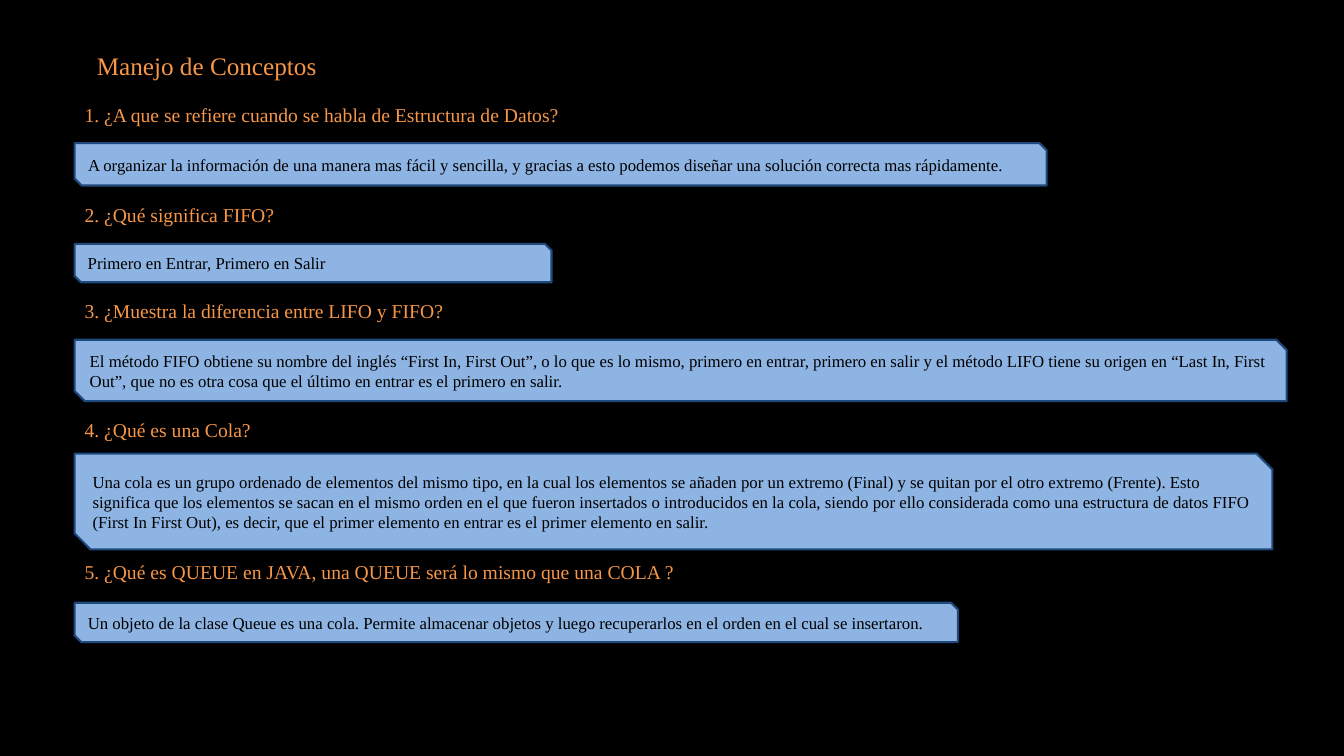
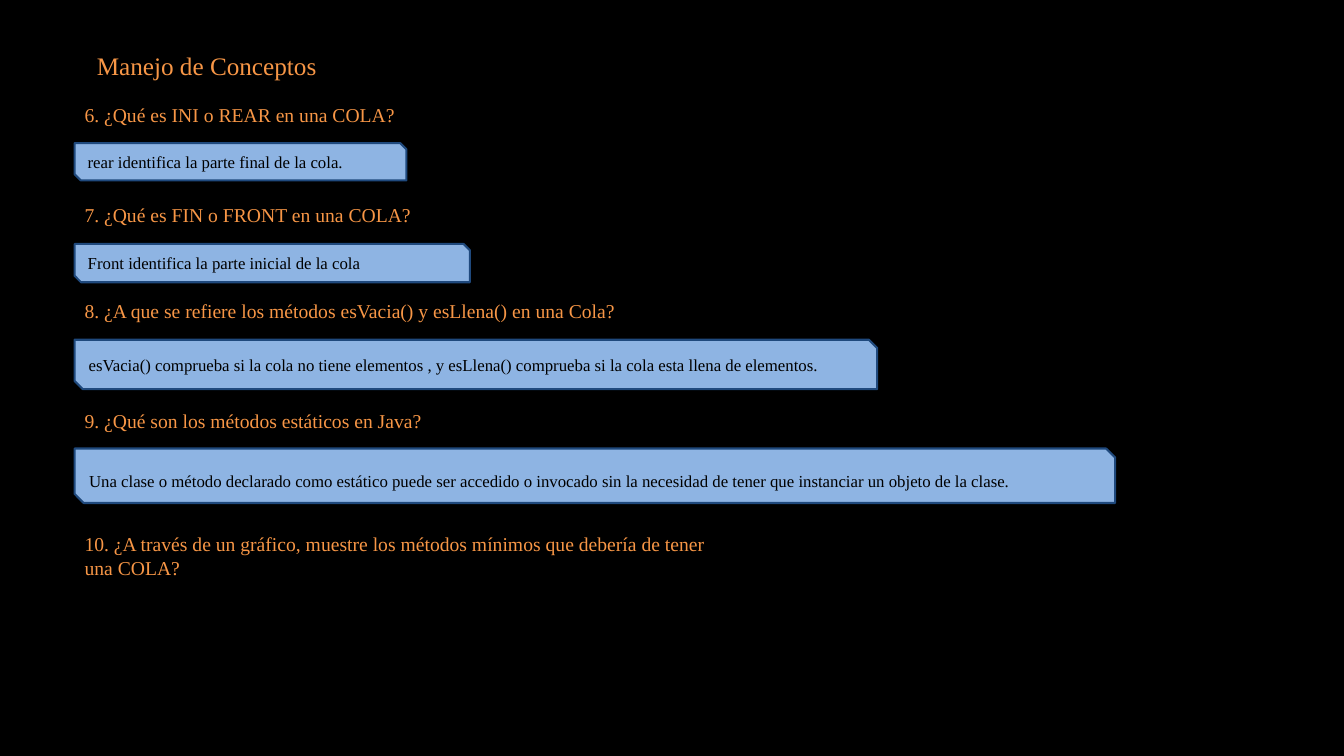
from pptx import Presentation, util as u
from pptx.dml import color as col
from pptx.enum import shapes, text

BLACK, ORANGE, BLUE, NAVY = "000000", "F79646", "8EB4E3", "1F497D"
LEFT = 0.74
HEAD = "Manejo de Conceptos"

# Each row: question, top, width, then answer, top, width, height, text drop.
PAGES = [
    [
        (("1. ¿A que se refiere cuando se habla de Estructura de Datos?", 0.97, 5.93),
         ("A organizar la información de una manera mas fácil y sencilla, y gracias a "
          "esto podemos diseñar una solución correcta mas rápidamente.",
          1.42, 9.64, 0.42)),
        (("2. ¿Qué significa FIFO?", 1.96, 5.93),
         ("Primero en Entrar, Primero en Salir", 2.42, 4.73, 0.38)),
        (("3. ¿Muestra la diferencia entre LIFO y FIFO?", 2.92, 7.64),
         ("El método FIFO obtiene su nombre del inglés “First In, First Out”, o lo que "
          "es lo mismo, primero en entrar, primero en salir y el método LIFO tiene su "
          "origen en “Last In, First Out”, que no es otra cosa que el último en entrar "
          "es el primero en salir.", 3.37, 12.02, 0.61)),
        (("4. ¿Qué es una Cola?", 4.1, 2.39),
         ("Una cola es un grupo ordenado de elementos del mismo tipo, en la cual los "
          "elementos se añaden por un extremo (Final) y se quitan por el otro extremo "
          "(Frente). Esto significa que los elementos se sacan en el mismo orden en el "
          "que fueron insertados o introducidos en la cola, siendo por ello considerada "
          "como una estructura de datos FIFO (First In First Out), es decir, que el "
          "primer elemento en entrar es el primer elemento en salir.",
          4.5, 11.88, 0.95)),
        (("5. ¿Qué es QUEUE en JAVA, una QUEUE será lo mismo que una COLA ?", 5.51, 7.94),
         ("Un objeto de la clase Queue es una cola. Permite almacenar objetos y luego "
          "recuperarlos en el orden en el cual se insertaron.", 5.98, 8.76, 0.39)),
    ],
    [
        (("6. ¿Qué es INI o REAR en una COLA?", 0.97, 5.93),
         ("rear identifica la parte final de la cola.", 1.42, 3.29, 0.37)),
        (("7. ¿Qué es FIN o FRONT en una COLA?", 1.96, 5.93),
         ("Front identifica la parte inicial de la cola", 2.42, 3.92, 0.38)),
        (("8. ¿A que se refiere los métodos esVacia() y esLlena() en una Cola?", 2.92, 7.64),
         ("esVacia() comprueba si la cola no tiene elementos , y esLlena() comprueba si "
          "la cola esta llena de elementos.", 3.37, 7.96, 0.49)),
        (("9. ¿Qué son los métodos estáticos en Java?", 4.01, 3.65),
         ("Una clase o método declarado como estático puede ser accedido o invocado sin "
          "la necesidad de tener que instanciar un objeto de la clase.",
          4.45, 10.32, 0.54, 0.1)),
        (("10. ¿A través de un gráfico, muestre los métodos mínimos que debería de tener\n"
          "una COLA?", 5.23, 9.98), None),
    ],
]


def rgb(code):
    return col.RGBColor.from_string(code)


def write(frame, words, size=12, color=BLACK, anchor=text.MSO_ANCHOR.TOP,
          fit=text.MSO_AUTO_SIZE.NONE, font="Times New Roman"):
    frame.text = words
    frame.word_wrap = True
    frame.auto_size = fit
    frame.vertical_anchor = anchor
    for para in frame.paragraphs:
        para.alignment = text.PP_ALIGN.LEFT
        for run in para.runs:
            run.font.size = u.Pt(size)
            run.font.name = font
            run.font.color.rgb = rgb(color)


class Deck:
    """Hold the shared style and the current slide."""

    def __init__(self):
        self.prs = Presentation()
        self.prs.slide_width = u.Inches(13.33)
        self.prs.slide_height = u.Inches(7.5)
        fill = self.prs.slide_master.background.fill
        fill.solid()
        fill.fore_color.rgb = rgb(BLACK)

    def page(self, head):
        self.slide = self.prs.slides.add_slide(self.prs.slide_layouts[5])
        title = self.slide.shapes.title
        title.left, title.top = u.Inches(0.86), u.Inches(0.45)
        title.width, title.height = u.Inches(2.85), u.Inches(0.4)
        write(title.text_frame, head, size=18, color=ORANGE)

    def ask(self, words, top, width):
        high = 0.34 + 0.23 * words.count("\n")
        box = self.slide.shapes.add_textbox(
            u.Inches(LEFT), u.Inches(top), u.Inches(width), u.Inches(high))
        write(box.text_frame, words, size=14, color=ORANGE,
              fit=text.MSO_AUTO_SIZE.SHAPE_TO_FIT_TEXT)

    def reply(self, words, top, width, high, drop=0):
        box = self.slide.shapes.add_shape(
            shapes.MSO_SHAPE.SNIP_2_DIAG_RECTANGLE,
            u.Inches(LEFT), u.Inches(top), u.Inches(width), u.Inches(high))
        box.shadow.inherit = False
        box.fill.solid()
        box.fill.fore_color.rgb = rgb(BLUE)
        box.line.color.rgb = rgb(NAVY)
        box.line.width = u.Pt(1.5)
        box.text_frame.margin_top = u.Inches(0.05 + drop)
        write(box.text_frame, words, anchor=text.MSO_ANCHOR.MIDDLE)


def main():
    deck = Deck()
    for rows in PAGES:
        deck.page(HEAD)
        for query, answer in rows:
            deck.ask(*query)
            if answer:
                deck.reply(*answer)
    deck.prs.save("out.pptx")


if __name__ == "__main__":
    main()
